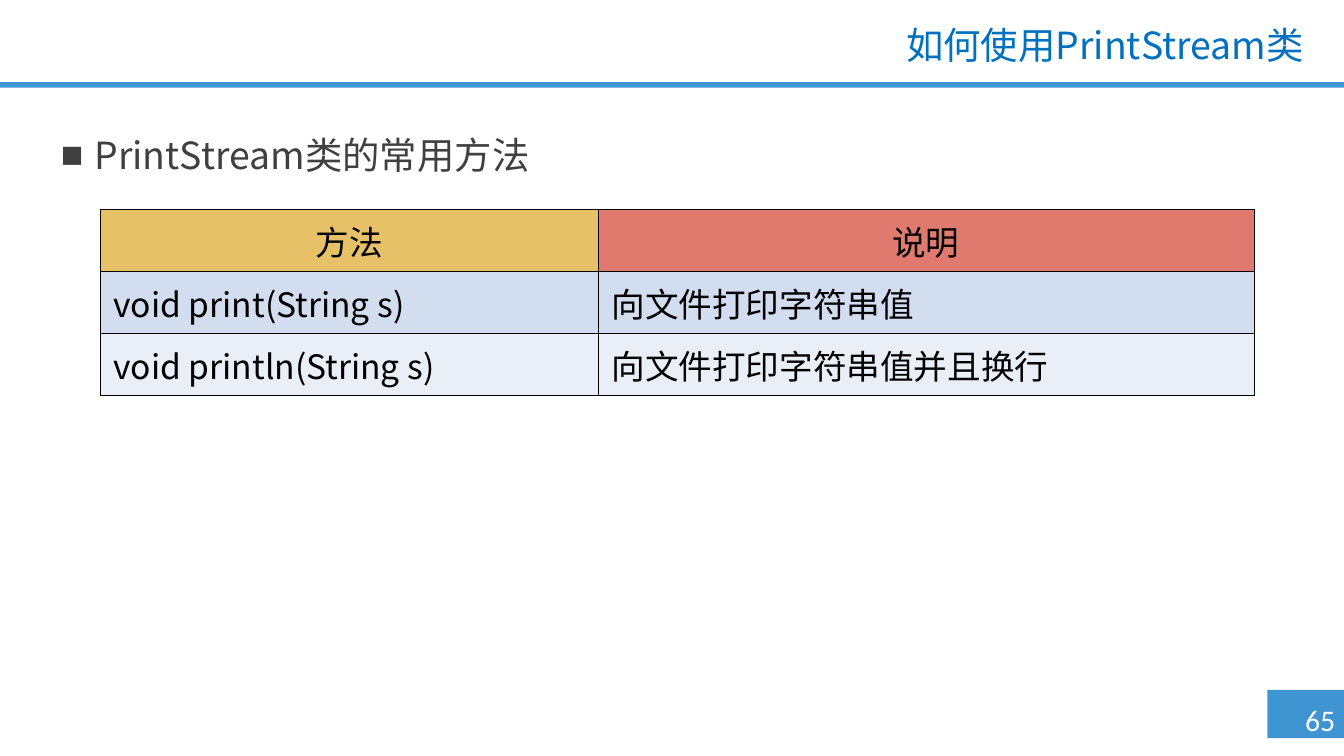
from pptx import Presentation
from pptx.dml.color import RGBColor
from pptx.enum.shapes import MSO_SHAPE
from pptx.enum.text import MSO_ANCHOR, PP_ALIGN
from pptx.oxml.ns import qn
from pptx.util import Inches, Pt
from lxml.etree import SubElement

WIDTH = 10
HEIGHT = WIDTH * 9 / 16


def color(value):
    return RGBColor.from_string(value)


class SlideBuilder:
    """Holds the style and the current slide; boxes are percentages of its size."""

    body_font = "Noto Sans CJK SC"
    number_font = "Calibri"
    accent, title_color, body_color = "3F95D2", "0070C0", "404040"
    black, white = "000000", "FFFFFF"

    def __init__(self, presentation):
        self.slide = presentation.slides.add_slide(presentation.slide_layouts[6])

    def place(self, left, top, width, height):
        return [Inches(share * side / 100) for share, side in
                ((left, WIDTH), (top, HEIGHT), (width, WIDTH), (height, HEIGHT))]

    def style(self, paragraph, size, text_color, align=PP_ALIGN.LEFT, font=body_font):
        paragraph.alignment = align
        for run in paragraph.runs:
            run.font.size = Pt(size)
            run.font.name = font
            run.font.color.rgb = color(text_color)
            SubElement(run.font._element, qn("a:ea"), typeface=font)

    def bar(self, *box):
        shape = self.slide.shapes.add_shape(MSO_SHAPE.RECTANGLE, *self.place(*box))
        shape.shadow.inherit = False
        shape.fill.solid()
        shape.fill.fore_color.rgb = color(self.accent)
        shape.line.fill.background()

    def text(self, box, content, size, text_color, margin=0.1, **look):
        text_frame = self.slide.shapes.add_textbox(*self.place(*box)).text_frame
        text_frame.word_wrap = True
        text_frame.vertical_anchor = MSO_ANCHOR.MIDDLE
        text_frame.margin_left = text_frame.margin_right = Inches(margin)
        text_frame.text = content
        paragraph = text_frame.paragraphs[0]
        self.style(paragraph, size, text_color, **look)
        return paragraph

    def bullet(self, box, content):
        paragraph = self.text(box, content, 20, self.body_color)
        paragraph.line_spacing = Pt(25)
        properties = paragraph._p.get_or_add_pPr()
        properties.set("marL", str(Inches(0.25)))
        properties.set("indent", str(-Inches(0.25)))
        SubElement(properties, qn("a:buFont"), typeface="Arial")
        SubElement(properties, qn("a:buChar"), char="■")

    def border(self, cell):
        properties = cell._tc.get_or_add_tcPr()
        for index, side in enumerate(("lnL", "lnR", "lnT", "lnB")):
            line = properties.makeelement(qn(f"a:{side}"), {"w": str(Pt(0.25))})
            fill = SubElement(line, qn("a:solidFill"))
            SubElement(fill, qn("a:srgbClr"), val=self.black)
            properties.insert(index, line)

    def table(self, box, rows, fills, column_shares):
        frame = self.slide.shapes.add_table(len(rows), len(rows[0]), *self.place(*box))
        table = frame.table
        for column, share in zip(table.columns, column_shares):
            column.width = Inches(share * WIDTH / 100)
        for row_index, (row, row_fills) in enumerate(zip(rows, fills)):
            align = PP_ALIGN.LEFT if row_index else PP_ALIGN.CENTER
            for column_index, (content, fill) in enumerate(zip(row, row_fills)):
                cell = table.cell(row_index, column_index)
                cell.text_frame.text = content
                cell.vertical_anchor = MSO_ANCHOR.MIDDLE
                self.style(cell.text_frame.paragraphs[0], 18, self.black, align)
                cell.fill.solid()
                cell.fill.fore_color.rgb = color(fill)
                self.border(cell)


def main():
    presentation = Presentation()
    presentation.slide_width, presentation.slide_height = Inches(WIDTH), Inches(HEIGHT)
    builder = SlideBuilder(presentation)

    # Page number block and header rule
    builder.bar(94.3, 91.25, 5.7, 6.4)
    builder.bar(0, 10.85, 100, 0.75)
    builder.text((96.45, 91.9, 3.55, 6.6), "65", 16, builder.white, margin=0,
                 align=PP_ALIGN.CENTER, font=builder.number_font)

    # Title
    title = builder.text((24, 2.67, 74, 7.3), "如何使用PrintStream类", 20,
                         builder.title_color, align=PP_ALIGN.RIGHT)
    title.line_spacing = 0.9

    # Topic and method table
    builder.bullet((3.55, 16.25, 91.3, 8.2), "PrintStream类的常用方法")
    builder.table(
        (7.45, 27.7, 85.85, 24.6),
        [("方法", "说明"),
         ("void print(String s)", "向文件打印字符串值"),
         ("void println(String s)", "向文件打印字符串值并且换行")],
        [("E6C168", "E07A6F"), ("D2DEEF",) * 2, ("EAEFF7",) * 2],
        (37.05, 48.8))

    presentation.save("out.pptx")


if __name__ == "__main__":
    main()
